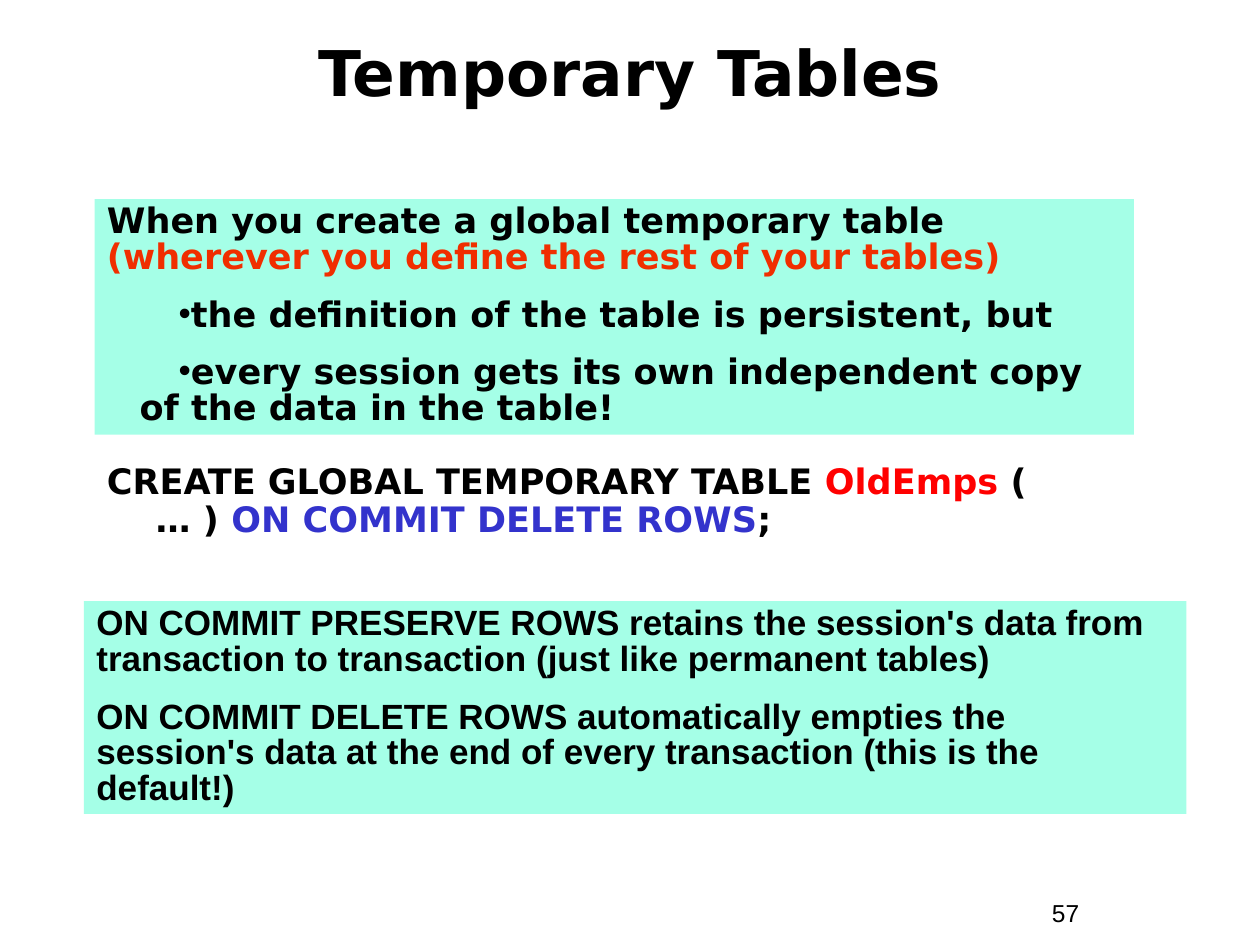
import pptx
import pptx.dml.color
import pptx.enum.shapes
import pptx.enum.text
import pptx.oxml.ns
import pptx.util
from lxml import etree

Pt = pptx.util.Pt
RGBColor = pptx.dml.color.RGBColor
Align = pptx.enum.text.PP_ALIGN
Anchor = pptx.enum.text.MSO_ANCHOR

BLACK = RGBColor(0, 0, 0)
RED = RGBColor(0xFF, 0, 0)
ORANGE = RGBColor(0xF0, 0x2E, 0)
BLUE = RGBColor(0x33, 0x33, 0xCC)
MINT = RGBColor(0xA5, 0xFF, 0xE7)

SANS = "DejaVu Sans"
ARIAL = "Arial"

PAGE_NUMBER = [[("57", BLACK)]]
TITLE = [[("Temporary Tables", BLACK)]]
STATEMENT = [
    [("CREATE GLOBAL TEMPORARY TABLE ", BLACK), ("OldEmps", RED), (" (", BLACK)],
    [("    … ) ", BLACK), ("ON COMMIT DELETE ROWS", BLUE), (";", BLACK)],
]
COMMIT_OPTIONS = [
    [("ON COMMIT PRESERVE ROWS retains the session's data from transaction "
      "to transaction (just like permanent tables)", BLACK)],
    [("ON COMMIT DELETE ROWS automatically empties the session's data at the "
      "end of every transaction (this is the default!)", BLACK)],
]
DEFINITION = [
    [("When you create a global temporary table ", BLACK),
     ("(wherever you define the rest of your tables)", ORANGE)],
    [("the definition of the table is persistent, but", BLACK)],
    [("every session gets its own independent copy of the data in the table!", BLACK)],
]

BOXES = [
    dict(place=(594, 509.76, 66.24, 24.48), paragraphs=PAGE_NUMBER, font=ARIAL,
         size=14, bold=False, line=1),
    dict(place=(24, 15.12, 672, 51.12), paragraphs=TITLE, font=SANS, size=36,
         line=1, align=Align.CENTER, anchor=Anchor.MIDDLE),
    dict(place=(54, 262.8, 636, 49.68), paragraphs=STATEMENT, font=SANS, gap=1.2),
    dict(place=(48, 343.44, 630, 121.68), paragraphs=COMMIT_OPTIONS, font=ARIAL,
         gap=12.5, fill=MINT),
    dict(place=(54, 113.76, 594, 134.64), paragraphs=DEFINITION, font=SANS,
         gap=12.5, fill=MINT, bullets_from=1),
]


def add_bullet(para):
    properties = para._p.get_or_add_pPr()
    properties.set("marL", str(Pt(18.72)))
    properties.set("indent", str(Pt(22.32)))
    qn = pptx.oxml.ns.qn
    color = etree.SubElement(properties, qn("a:buClr"))
    etree.SubElement(color, qn("a:srgbClr"), val=str(BLACK))
    etree.SubElement(properties, qn("a:buFont"), typeface=ARIAL)
    etree.SubElement(properties, qn("a:buChar"), char="•")


def add_box(page, place, paragraphs, font, size=20, bold=True, line=0.85, gap=0,
            fill=None, align=Align.LEFT, anchor=Anchor.TOP, bullets_from=None):
    bounds = [Pt(length) for length in place]
    if fill is None:
        box = page.shapes.add_textbox(*bounds)
    else:
        box = page.shapes.add_shape(pptx.enum.shapes.MSO_SHAPE.RECTANGLE, *bounds)
        box.shadow.inherit = False
        box.fill.solid()
        box.fill.fore_color.rgb = fill
        box.line.fill.background()
    frame = box.text_frame
    frame.word_wrap = True
    frame.vertical_anchor = anchor
    for index, spans in enumerate(paragraphs):
        para = frame.add_paragraph() if index else frame.paragraphs[0]
        if bullets_from is not None and index >= bullets_from:
            para.level = 1
            add_bullet(para)
        para.alignment = align
        para.line_spacing = line
        para.space_before = Pt(gap if index else 0)
        para.font.name = font
        para.font.size = Pt(size)
        para.font.bold = bold
        para.font.color.rgb = spans[0][1]
        for text, color in spans:
            span = para.add_run()
            span.text = text
            if color != spans[0][1]:
                span.font.color.rgb = color


def main():
    deck = pptx.Presentation()
    deck.slide_width, deck.slide_height = Pt(720), Pt(540)
    page = deck.slides.add_slide(deck.slide_layouts[6])
    for box in BOXES:
        add_box(page, **box)
    deck.save("out.pptx")


if __name__ == "__main__":
    main()
